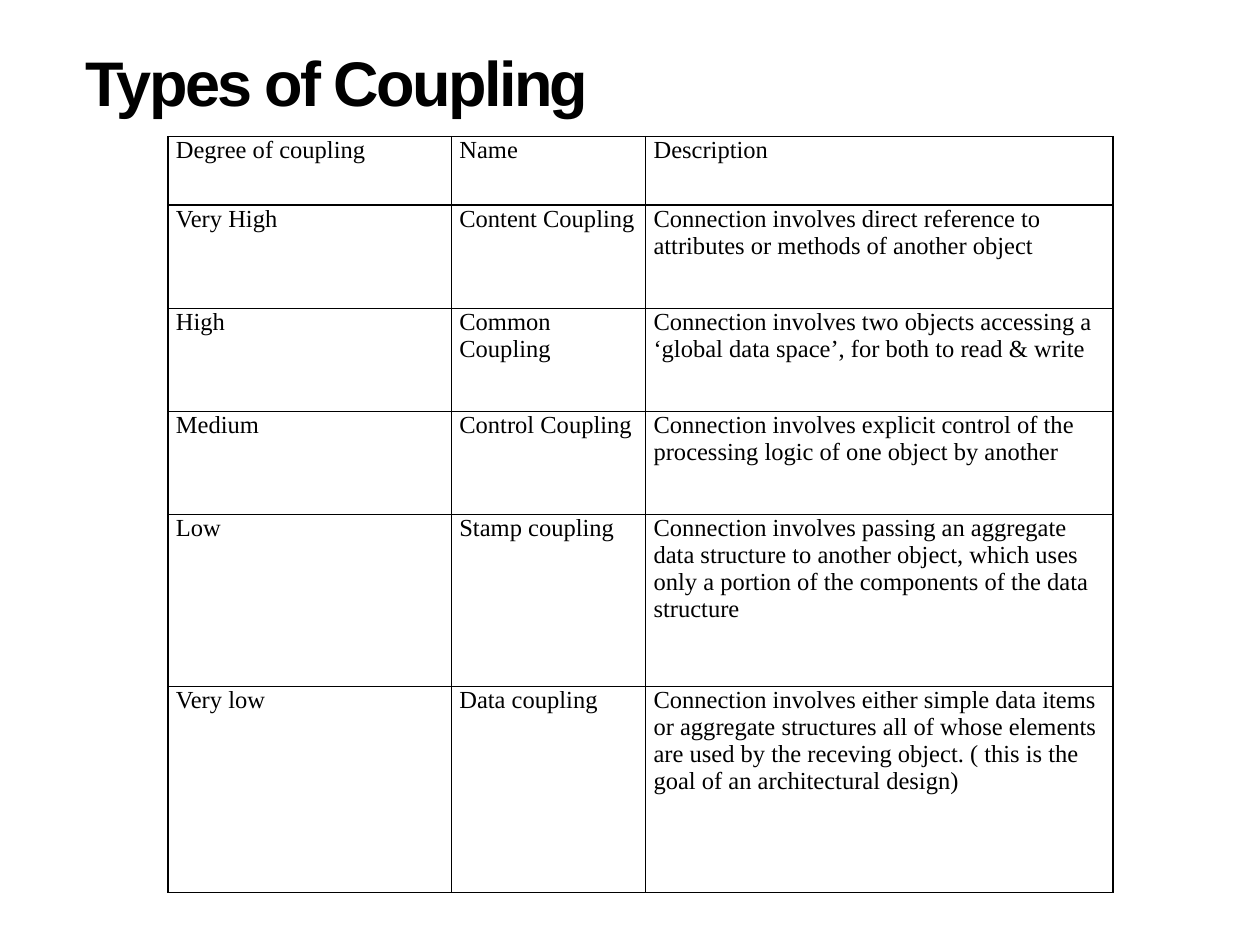
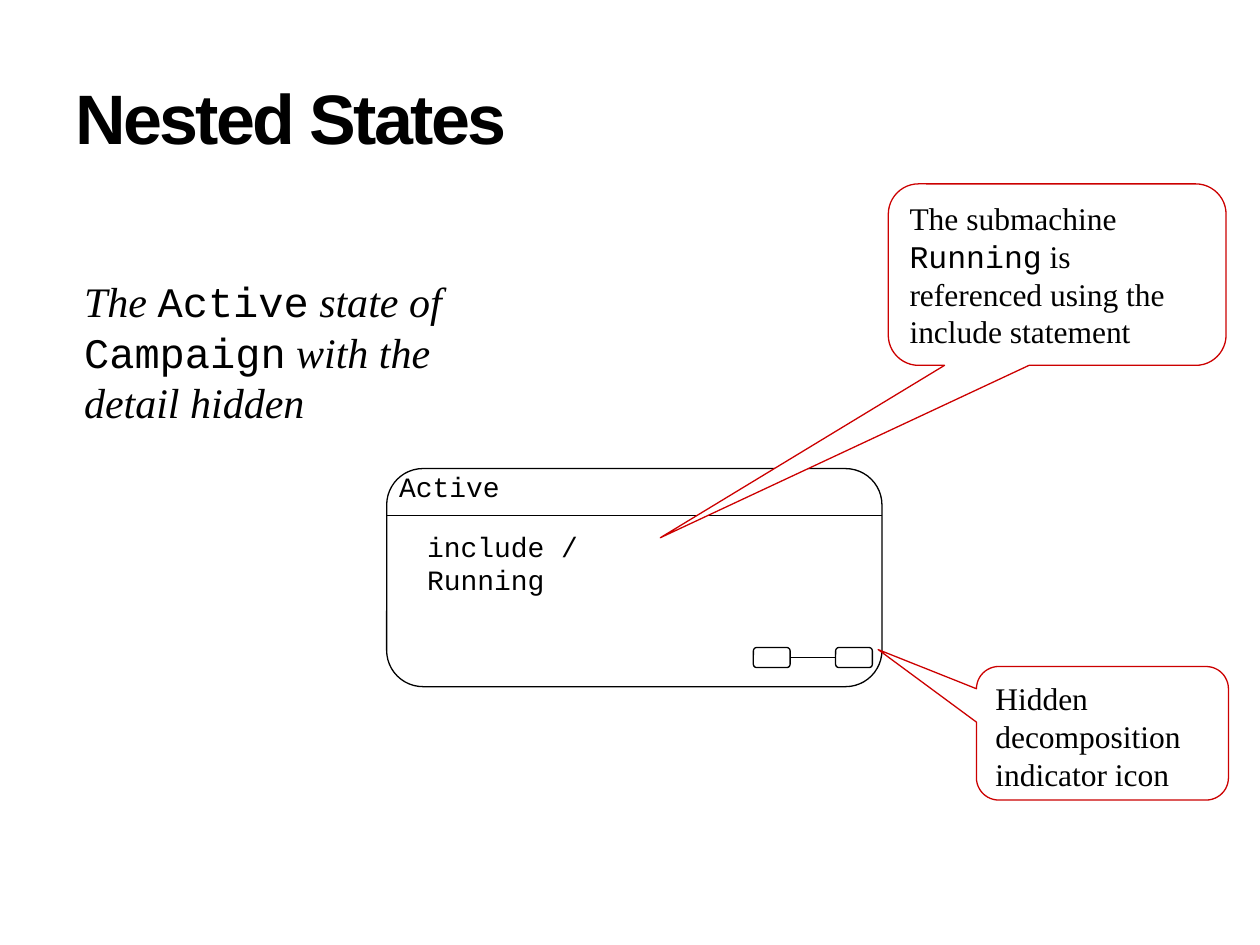
from lxml import etree
from pptx import Presentation
from pptx.dml.color import RGBColor
from pptx.enum.shapes import MSO_CONNECTOR as LINK, MSO_SHAPE as KIND
from pptx.enum.text import MSO_ANCHOR as ANCHOR, PP_ALIGN as ALIGN
from pptx.oxml import parse_xml
from pptx.oxml.ns import nsdecls, qn
from pptx.util import Pt

BLACK = RGBColor(0, 0, 0)
WHITE = RGBColor(255, 255, 255)
RED = RGBColor(0xCC, 0, 0)
SANS, SERIF, MONO = "Arial", "Times New Roman", "Courier New"

COLS = (162, 111, 267)
ROWS = (4, 6, 6, 6, 10, 12)  # shares of the table height
TYPES = (
    ("Degree of coupling", "Name", "Description"),
    ("Very High", "Content Coupling",
     "Connection involves direct reference to attributes or methods of another object"),
    ("High", "Common Coupling",
     "Connection involves two objects accessing a ‘global data space’, for both to read & write"),
    ("Medium", "Control Coupling",
     "Connection involves explicit control of the processing logic of one object by another"),
    ("Low", "Stamp coupling",
     "Connection involves passing an aggregate data structure to another object, "
     "which uses only a portion of the components of the data structure"),
    ("Very low", "Data coupling",
     "Connection involves either simple data items or aggregate structures all of whose "
     "elements are used by the receving object. ( this is the goal of an architectural design)"),
)


def pts(box):
    return [Pt(n) for n in box]


def style(run, size, face=SERIF, bold=False, italic=False):
    font = run.font
    font.size, font.name = Pt(size), face
    font.bold, font.italic = bold, italic
    font.color.rgb = BLACK


def write(frame, parts, size, italic=False):
    """Fill a frame with (text, face) runs; only serif runs can be italic."""
    frame.word_wrap = True
    para = frame.paragraphs[0]
    para.alignment = ALIGN.LEFT
    for text, face in parts:
        run = para.add_run()
        run.text = text
        style(run, size, face, italic=italic and face == SERIF)


def label(slide, box, parts, size, italic=False):
    write(slide.shapes.add_textbox(*pts(box)).text_frame, parts, size, italic)


def title(slide, box, text, size):
    frame = slide.shapes.add_textbox(*pts(box)).text_frame
    frame.word_wrap = True
    frame.vertical_anchor = ANCHOR.MIDDLE
    frame.text = text
    run = frame.paragraphs[0].runs[0]
    style(run, size, SANS, bold=True)
    run.font._element.set("spc", "-150")


def outline(slide, kind, box, color=BLACK, fill=None):
    shape = slide.shapes.add_shape(kind, *pts(box))
    shape.shadow.inherit = False
    if fill is None:
        shape.fill.background()
    else:
        shape.fill.solid()
        shape.fill.fore_color.rgb = fill
    shape.line.color.rgb = color
    shape.line.width = Pt(0.75)
    return shape


def rule(slide, left, right, y):
    """Draw a level line."""
    line = slide.shapes.add_connector(LINK.STRAIGHT, *pts((left, y, right, y)))
    line.line.color.rgb = BLACK
    line.line.width = Pt(0.75)
    etree.SubElement(line._element.spPr, qn("a:effectLst"))


def callout(slide, box, tip, parts):
    shape = outline(slide, KIND.ROUNDED_RECTANGULAR_CALLOUT, box, RED, WHITE)
    for i, value in enumerate((*tip, 0.167)):
        shape.adjustments[i] = value
    shape.text_frame.vertical_anchor = ANCHOR.TOP
    write(shape.text_frame, parts, 18)


def border(cell):
    props = cell._tc.get_or_add_tcPr()
    for side in ("lnL", "lnR", "lnT", "lnB"):
        props.append(parse_xml(
            f'<a:{side} {nsdecls("a")} w="12700"><a:solidFill>'
            f'<a:srgbClr val="{BLACK}"/></a:solidFill></a:{side}>'))


def grid(slide, box):
    table = slide.shapes.add_table(len(ROWS), len(COLS), *pts(box)).table
    table.first_row = table.horz_banding = False
    for col, width in zip(table.columns, COLS):
        col.width = Pt(box[2] * width / sum(COLS))
    for row, share, texts in zip(table.rows, ROWS, TYPES):
        row.height = Pt(box[3] * share / sum(ROWS))
        for cell, text in zip(row.cells, texts):
            border(cell)
            cell.fill.background()
            cell.margin_left = cell.margin_right = Pt(4.5)
            cell.margin_top = cell.margin_bottom = 0
            write(cell.text_frame, [(text, SERIF)], 14)


def state(slide, box):
    """Draw the Active state with its hidden detail icon."""
    x, y, w, h = box
    label(slide, (x, y - 3, w, 26.6), [("Active", MONO)], 16)
    outline(slide, KIND.FLOWCHART_ALTERNATE_PROCESS, box)
    rule(slide, x, x + w, y + 26.7)
    label(slide, (x + 16, y + 31, 137.5, 26.6), [("include / Running", MONO)], 16)
    icon, wide, high, step = x + 209.5, 21, 11.5, 47
    top = y + 102.2
    for i in range(2):
        outline(slide, KIND.ROUNDED_RECTANGLE, (icon + i * step, top, wide, high))
    rule(slide, icon + wide, icon + step, top + high / 2)


def coupling(slide):
    title(slide, (42, 24, 648, 45), "Types of Coupling", 36)
    grid(slide, (96, 78, 540, 432))


def nested(slide):
    title(slide, (36, 21.6, 648, 90), "Nested States", 40)
    state(slide, (221, 267.8, 283, 124.6))
    label(slide, (41, 154, 237.6, 93.6),
          [("The ", SERIF), ("Active", MONO), (" state of", SERIF),
           (" Campaign", MONO), (" with the detail hidden", SERIF)], 24, italic=True)
    callout(slide, (558, 380.9, 144, 76.3), (-0.89, -0.627),
            [("Hidden decomposition indicator icon", SERIF)])
    callout(slide, (507.6, 105.1, 193, 103.7), (-1.175, 1.45),
            [("The submachine ", SERIF), ("Running", MONO),
             (" is referenced using the include statement", SERIF)])


def main():
    deck = Presentation()
    deck.slide_width, deck.slide_height = Pt(720), Pt(540)
    for build in (coupling, nested):
        build(deck.slides.add_slide(deck.slide_layouts[6]))
    deck.save("out.pptx")


if __name__ == "__main__":
    main()
